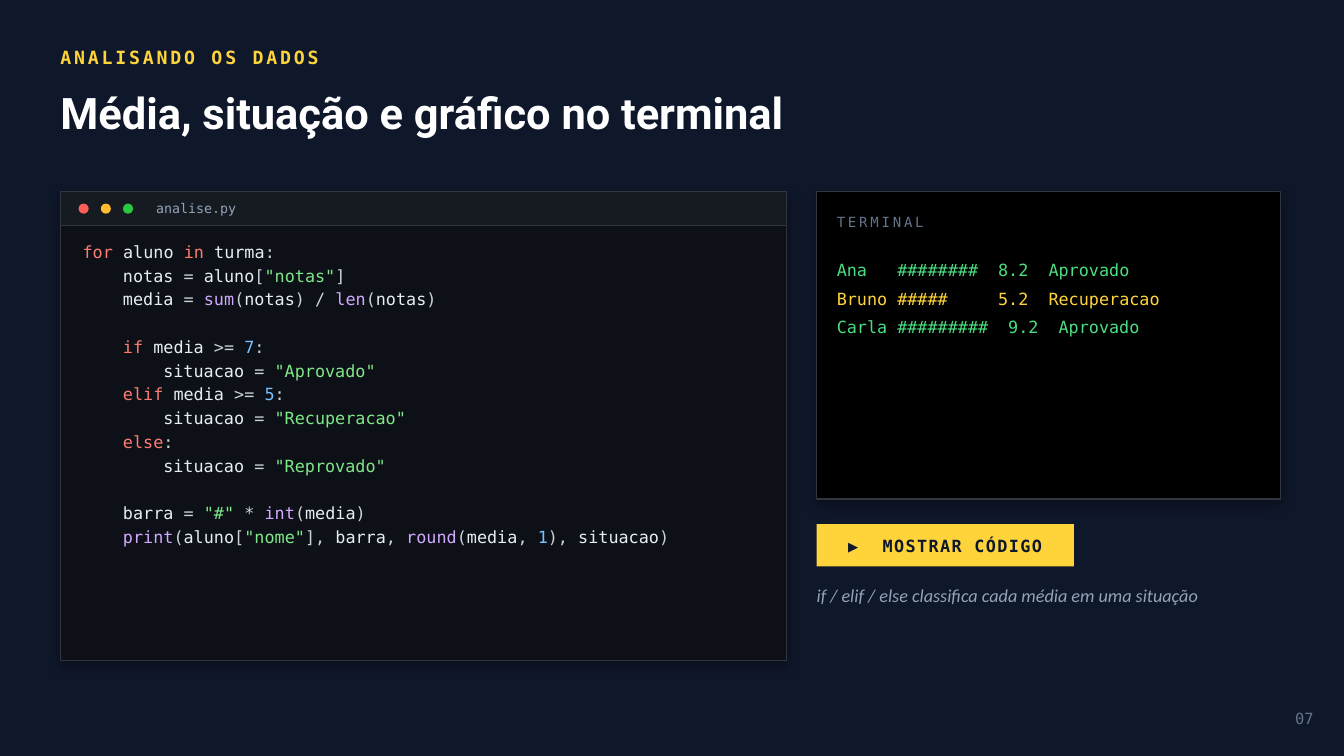
from itertools import groupby

from lxml import etree
from pptx import Presentation
from pptx.dml.color import RGBColor
from pptx.enum.shapes import MSO_SHAPE
from pptx.enum.text import MSO_ANCHOR, PP_ALIGN
from pptx.oxml.ns import qn
from pptx.util import Inches, Pt

COLORS = {
    "background": "0F172A", "yellow": "FFD43B", "white": "FFFFFF",
    "editor": "0D1117", "title_bar": "161B22", "border": "30363D",
    "close": "FF5F56", "minimize": "FFBD2E", "maximize": "27C93F",
    "muted": "94A3B8", "dim": "64748B", "black": "000000", "green": "4ADE80",
    "keyword": "FF7B72", "name": "E6EDF3", "punctuation": "C9D1D9",
    "string": "7EE787", "builtin": "D2A8FF", "number": "79C0FF",
}
MONO = "DejaVu Sans Mono"
CHAR = 0.1  # width of one 12 pt monospaced character, in inches
CODE_LINE = 17  # height of one code line, in points

CODE = """\
for aluno in turma:
    notas = aluno["notas"]
    media = sum(notas) / len(notas)

    if media >= 7:
        situacao = "Aprovado"
    elif media >= 5:
        situacao = "Recuperacao"
    else:
        situacao = "Reprovado"

    barra = "#" * int(media)
    print(aluno["nome"], barra, round(media, 1), situacao)"""
KEYWORDS = {"for", "in", "if", "elif", "else"}
BUILTINS = {"sum", "len", "int", "print", "round"}


def token_color(token):
    if token[0] == '"':
        return "string"
    if token in KEYWORDS:
        return "keyword"
    if token in BUILTINS:
        return "builtin"
    if token.isdigit():
        return "number"
    return "name" if token.isalnum() else "punctuation"


def tokens(line):
    parts = groupby(line, key=lambda c: c.isalnum() or c in '"#')
    return ["".join(chars) for _, chars in parts]


class Deck:
    def __init__(self):
        self.prs = Presentation()
        self.prs.slide_width, self.prs.slide_height = Inches(13.33), Inches(7.5)
        self.slide = self.prs.slides.add_slide(self.prs.slide_layouts[6])
        fill = self.slide.background.fill
        fill.solid()
        fill.fore_color.rgb = self.color("background")

    def color(self, name):
        return RGBColor.from_string(COLORS[name])

    def shape(self, box, fill, kind=MSO_SHAPE.RECTANGLE, border=False, shadow=False):
        shape = self.slide.shapes.add_shape(kind, *map(Inches, box))
        shape.shadow.inherit = False
        shape.fill.solid()
        shape.fill.fore_color.rgb = self.color(fill)
        if border:
            shape.line.color.rgb = self.color("border")
            shape.line.width = Pt(1)
        else:
            shape.line.fill.background()
        if shadow:
            effects = shape._element.spPr.find(qn("a:effectLst"))
            outer = etree.SubElement(effects, qn("a:outerShdw"), blurRad=str(Pt(10)),
                                     dist=str(Pt(3)), dir="5400000", rotWithShape="0")
            black = etree.SubElement(outer, qn("a:srgbClr"), val=COLORS["black"])
            etree.SubElement(black, qn("a:alpha"), val="35000")
        return shape

    def frame(self, shape, anchor):
        frame = shape.text_frame
        frame.word_wrap = True
        frame.vertical_anchor = anchor
        frame.margin_left = frame.margin_right = 0
        frame.margin_top = frame.margin_bottom = 0
        return frame

    def text_box(self, box, anchor=MSO_ANCHOR.MIDDLE):
        return self.frame(self.slide.shapes.add_textbox(*map(Inches, box)), anchor)

    def run(self, paragraph, text, size, color, font=MONO, bold=False,
            italic=False, spacing=0):
        run = paragraph.add_run()
        run.text = text
        run.font.name, run.font.size = font, Pt(size)
        run.font.bold, run.font.italic = bold, italic
        run.font.color.rgb = self.color(color)
        if spacing:
            run._r.get_or_add_rPr().set("spc", str(round(spacing * 100)))

    def label(self, box, text, size, color, align=PP_ALIGN.LEFT,
              anchor=MSO_ANCHOR.MIDDLE, **style):
        paragraph = self.text_box(box, anchor).paragraphs[0]
        paragraph.alignment = align
        self.run(paragraph, text, size, color, **style)

    def lines(self, box, count, spacing):
        frame = self.text_box(box, MSO_ANCHOR.TOP)
        for _ in range(count - 1):
            frame.add_paragraph()
        for paragraph in frame.paragraphs:
            paragraph.line_spacing = spacing
        return frame.paragraphs

    def code(self, box, source):
        rows = source.split("\n")
        filled = [(row, i > 0 and not rows[i - 1]) for i, row in enumerate(rows) if row]
        for paragraph, (row, gap) in zip(self.lines(box, len(filled), 1.18), filled):
            body = row.lstrip()
            indent = Inches((len(row) - len(body)) * CHAR)
            paragraph._p.get_or_add_pPr().set("marL", str(indent))
            if gap:
                paragraph.space_before = Pt(CODE_LINE)
            for token in tokens(body):
                self.run(paragraph, token, 12, token_color(token))

    def terminal(self, box, results):
        for paragraph, result in zip(self.lines(box, len(results), 1.4), results):
            name, bar, score, status, color = result
            score_column = 6 + max(len(bar), 8) + 2
            tabs = etree.SubElement(paragraph._p.get_or_add_pPr(), qn("a:tabLst"))
            for column in (6, score_column, score_column + 5):
                etree.SubElement(tabs, qn("a:tab"), pos=str(Inches(column * CHAR)), algn="l")
            self.run(paragraph, "\t".join((name, bar, score, status)), 12, color)

    def button(self, box, icon, caption):
        paragraph = self.frame(self.shape(box, "yellow"), MSO_ANCHOR.MIDDLE).paragraphs[0]
        paragraph.alignment = PP_ALIGN.CENTER
        for text, spacing in ((icon, 1), (" ", 9.2), (caption, 1)):
            self.run(paragraph, text, 12, "background", bold=True, spacing=spacing)


deck = Deck()

# Heading
deck.label((0.6, 0.42, 11, 0.3), "ANALISANDO OS DADOS", 13, "yellow", bold=True, spacing=2)
deck.label((0.6, 0.74, 12.1, 0.75), "Média, situação e gráfico no terminal", 31, "white",
           font="Roboto", bold=True)

# Code editor
deck.shape((0.6, 1.9, 7.2, 4.65), "editor", border=True, shadow=True)
deck.shape((0.6, 1.9, 7.2, 0.34), "title_bar", border=True)
for i, dot in enumerate(("close", "minimize", "maximize")):
    deck.shape((0.78 + 0.22 * i, 2.02, 0.1, 0.1), dot, MSO_SHAPE.OVAL)
deck.label((1.55, 1.9, 6.1, 0.34), "analise.py", 9.5, "muted")
deck.code((0.82, 2.36, 6.76, 4.07), CODE)

# Terminal
deck.shape((8.1, 1.9, 4.6, 3.05), "black", border=True, shadow=True)
deck.label((8.3, 2.05, 4, 0.3), "TERMINAL", 10, "dim", spacing=2)
deck.terminal((8.3, 2.5, 4.3, 2.2), [
    ("Ana", "#" * 8, "8.2", "Aprovado", "green"),
    ("Bruno", "#" * 5, "5.2", "Recuperacao", "yellow"),
    ("Carla", "#" * 9, "9.2", "Aprovado", "green"),
])

# Button and caption
deck.button((8.1, 5.2, 2.55, 0.42), "▶", "MOSTRAR CÓDIGO")
deck.label((8.1, 5.8, 4.6, 0.7), "if / elif / else classifica cada média em uma situação",
           13, "muted", anchor=MSO_ANCHOR.TOP, font="Calibri", italic=True)

# Page number
deck.label((12.33, 6.95, 0.7, 0.35), "07", 11, "dim", align=PP_ALIGN.RIGHT)

deck.prs.save("out.pptx")
